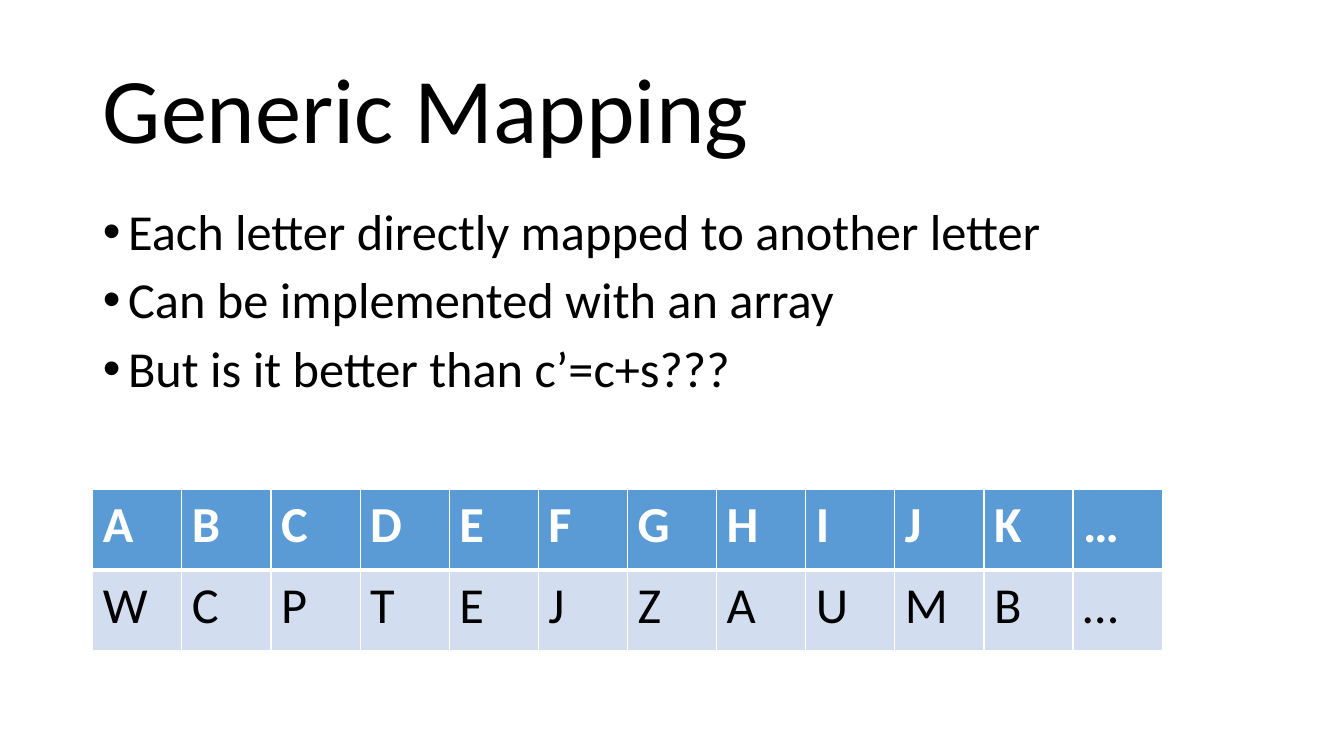
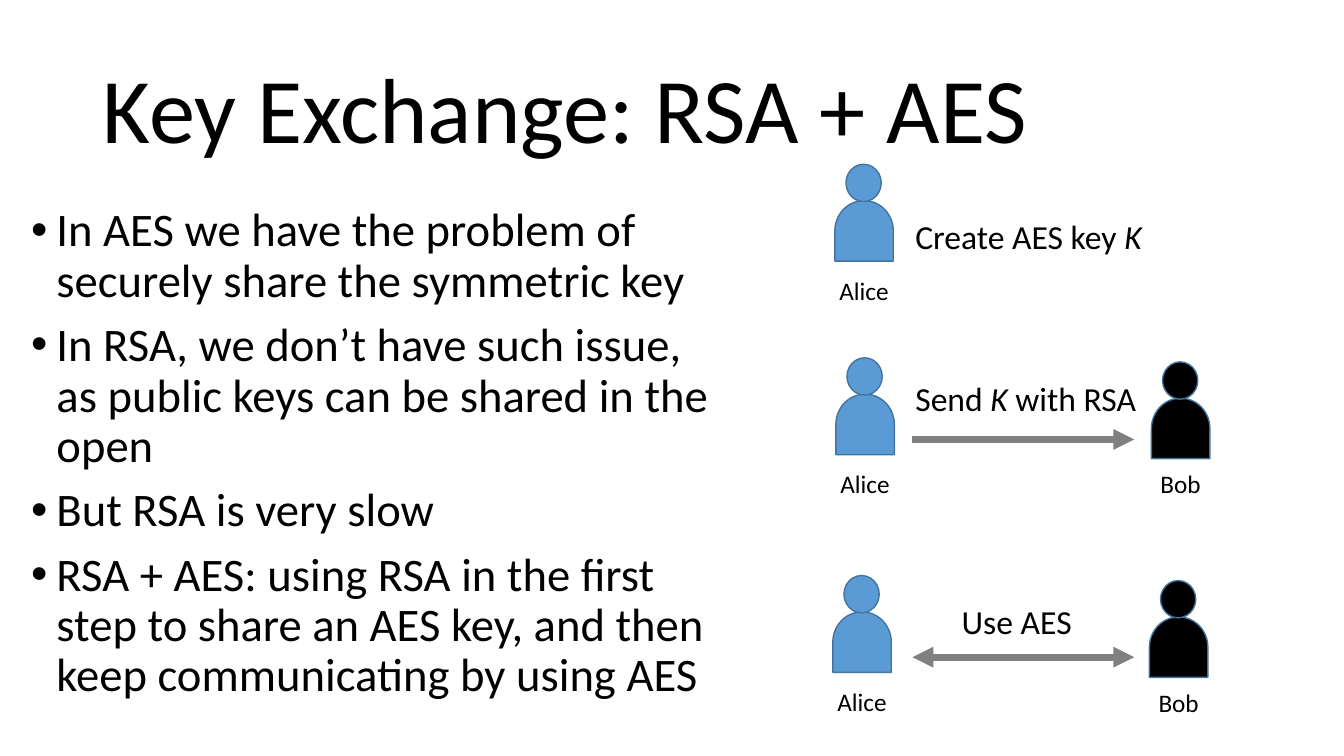
from lxml import etree
from pptx import Presentation
from pptx.dml.color import RGBColor
from pptx.enum.shapes import MSO_CONNECTOR, MSO_SHAPE
from pptx.enum.text import MSO_ANCHOR, MSO_AUTO_SIZE, PP_ALIGN
from pptx.oxml.ns import qn
from pptx.util import Inches, Pt

FONT = "Calibri"
BLACK = RGBColor(0x00, 0x00, 0x00)
WHITE = RGBColor(0xFF, 0xFF, 0xFF)
BLUE = RGBColor(0x5B, 0x9B, 0xD5)
DARK_BLUE = RGBColor(0x43, 0x73, 0x9E)
PALE_BLUE = RGBColor(0xD2, 0xDE, 0xEF)
GRAY = RGBColor(0x80, 0x80, 0x80)

TITLE_BOX = (0.92, 0.4, 11.5, 1.45)

MAPPING_BULLETS = [
    "Each letter directly mapped to another letter",
    "Can be implemented with an array",
    "But is it better than c’=c+s???",
]
MAPPING_ROWS = ["ABCDEFGHIJK…", "WCPTEJZAUMB…"]
MAPPING_BOX = (0.92, 4.86, 10.61, 1.59)

EXCHANGE_BULLETS = [
    "In AES we have the problem of securely share the symmetric key",
    "In RSA, we don’t have such issue, as public keys can be shared in the open",
    "But RSA is very slow",
    "RSA + AES: using RSA in the first step to share an AES key, "
    "and then keep communicating by using AES",
]
# name: (fill, distance from top of head to label)
ROLES = {"Alice": (BLUE, 1.05), "Bob": (BLACK, 1.01)}
# name, left, top
PEOPLE = [
    ("Alice", 8.27, 1.63),
    ("Alice", 8.28, 3.55),
    ("Bob", 11.41, 3.59),
    ("Alice", 8.25, 5.71),
    ("Bob", 11.39, 5.76),
]
# box, runs as (text, italic)
MESSAGES = [
    ((8.98, 2.09, 2.47, 0.5), [("Create AES key ", False), ("K", True)]),
    ((8.98, 3.7, 2.41, 0.5), [("Send ", False), ("K ", True), ("with RSA", False)]),
    ((9.44, 5.91, 1.3, 0.5), [("Use AES", False)]),
]
# height on the slide, arrowhead ends
ARROWS = [(4.36, ["tailEnd"]), (6.52, ["headEnd", "tailEnd"])]
ARROW_LEFT, ARROW_RIGHT = 9.05, 11.25


def inches(box):
    return [Inches(length) for length in box]


def place(shape, box):
    shape.left, shape.top, shape.width, shape.height = inches(box)


def add_run(paragraph, text, size, color=BLACK, bold=False, italic=False):
    run = paragraph.add_run()
    run.text = text
    font = run.font
    font.name, font.size, font.bold, font.italic = FONT, Pt(size), bold, italic
    font.color.rgb = color


def add_bullet(paragraph):
    properties = paragraph._p.get_or_add_pPr()
    properties.set("marL", str(Inches(0.25)))
    properties.set("indent", str(-Inches(0.25)))
    etree.SubElement(properties, qn("a:buFont")).set("typeface", "Arial")
    etree.SubElement(properties, qn("a:buChar")).set("char", "•")


def add_content_slide(presentation, title_text, bullets, body_box, size):
    slide = presentation.slides.add_slide(presentation.slide_layouts[1])
    title, body = slide.shapes.title, slide.placeholders[1]
    place(title, TITLE_BOX)
    place(body, body_box)
    for placeholder in (title, body):
        placeholder.text_frame.word_wrap = True
        placeholder.text_frame.auto_size = MSO_AUTO_SIZE.NONE

    title.text_frame.vertical_anchor = MSO_ANCHOR.MIDDLE
    heading = title.text_frame.paragraphs[0]
    heading.alignment = PP_ALIGN.LEFT
    heading.line_spacing = 0.9
    add_run(heading, title_text, 66)

    frame = body.text_frame
    for index, text in enumerate(bullets):
        paragraph = frame.add_paragraph() if index else frame.paragraphs[0]
        add_bullet(paragraph)
        paragraph.line_spacing = 0.9
        paragraph.space_before = Pt(10 if index else 0)
        add_run(paragraph, text, size)
    return slide


def set_borders(cell, widths):
    """Draw white borders; widths maps the sides L, R, T and B to points."""
    properties = cell._tc.get_or_add_tcPr()
    for index, side in enumerate("LRTB"):
        line = etree.Element(qn(f"a:ln{side}"), w=str(Pt(widths[side])))
        fill = etree.SubElement(line, qn("a:solidFill"))
        etree.SubElement(fill, qn("a:srgbClr")).set("val", str(WHITE))
        properties.insert(index, line)


def add_mapping_table(slide):
    column_count = len(MAPPING_ROWS[0])
    table = slide.shapes.add_table(
        len(MAPPING_ROWS), column_count, *inches(MAPPING_BOX)).table
    for column in table.columns:
        column.width = Inches(MAPPING_BOX[2] / column_count)
    for row_index, letters in enumerate(MAPPING_ROWS):
        header = row_index == 0
        for column_index, letter in enumerate(letters):
            cell = table.cell(row_index, column_index)
            cell.fill.solid()
            cell.fill.fore_color.rgb = BLUE if header else PALE_BLUE
            add_run(cell.text_frame.paragraphs[0], letter, 36,
                    WHITE if header else BLACK, bold=header)
            set_borders(cell, {"L": 1, "R": 1, "T": 1 if header else 3,
                               "B": 3 if header else 1})


def add_label(slide, box, runs, size, alignment=PP_ALIGN.LEFT):
    frame = slide.shapes.add_textbox(*inches(box)).text_frame
    frame.word_wrap = False
    frame.auto_size = MSO_AUTO_SIZE.SHAPE_TO_FIT_TEXT
    paragraph = frame.paragraphs[0]
    paragraph.alignment = alignment
    for text, italic in runs:
        add_run(paragraph, text, size, italic=italic)


def add_person(slide, name, left, top):
    color, label_offset = ROLES[name]
    torso = slide.shapes.add_shape(
        MSO_SHAPE.FLOWCHART_DELAY, *inches((left, top + 0.37, 0.6, 0.58)))
    torso.rotation = 270
    head = slide.shapes.add_shape(
        MSO_SHAPE.OVAL, *inches((left + 0.12, top, 0.35, 0.37)))
    for shape in (torso, head):
        shape.shadow.inherit = False
        shape.fill.solid()
        shape.fill.fore_color.rgb = color
        shape.line.color.rgb = DARK_BLUE
        shape.line.width = Pt(1)
    add_label(slide, (left - 0.05, top + label_offset, 0.7, 0.4),
              [(name, False)], 18, PP_ALIGN.CENTER)


def add_arrow(slide, height, ends):
    arrow = slide.shapes.add_connector(
        MSO_CONNECTOR.STRAIGHT,
        *inches((ARROW_LEFT, height, ARROW_RIGHT, height)))
    arrow.line.color.rgb = GRAY
    arrow.line.width = Pt(5)
    line = arrow.line._get_or_add_ln()
    for end in ends:
        etree.SubElement(line, qn(f"a:{end}")).set("type", "triangle")
    etree.SubElement(arrow._element.spPr, qn("a:effectLst"))


def main():
    presentation = Presentation()
    presentation.slide_width = Inches(13.33)
    presentation.slide_height = Inches(7.5)

    mapping = add_content_slide(presentation, "Generic Mapping",
                                MAPPING_BULLETS, (0.92, 2, 11.5, 2.15), 36)
    add_mapping_table(mapping)

    exchange = add_content_slide(presentation, "Key Exchange: RSA + AES",
                                 EXCHANGE_BULLETS, (0.21, 2, 7.11, 5.22), 33.3)
    for person in PEOPLE:
        add_person(exchange, *person)
    for box, runs in MESSAGES:
        add_label(exchange, box, runs, 24)
    for height, ends in ARROWS:
        add_arrow(exchange, height, ends)

    presentation.save("out.pptx")


if __name__ == "__main__":
    main()
